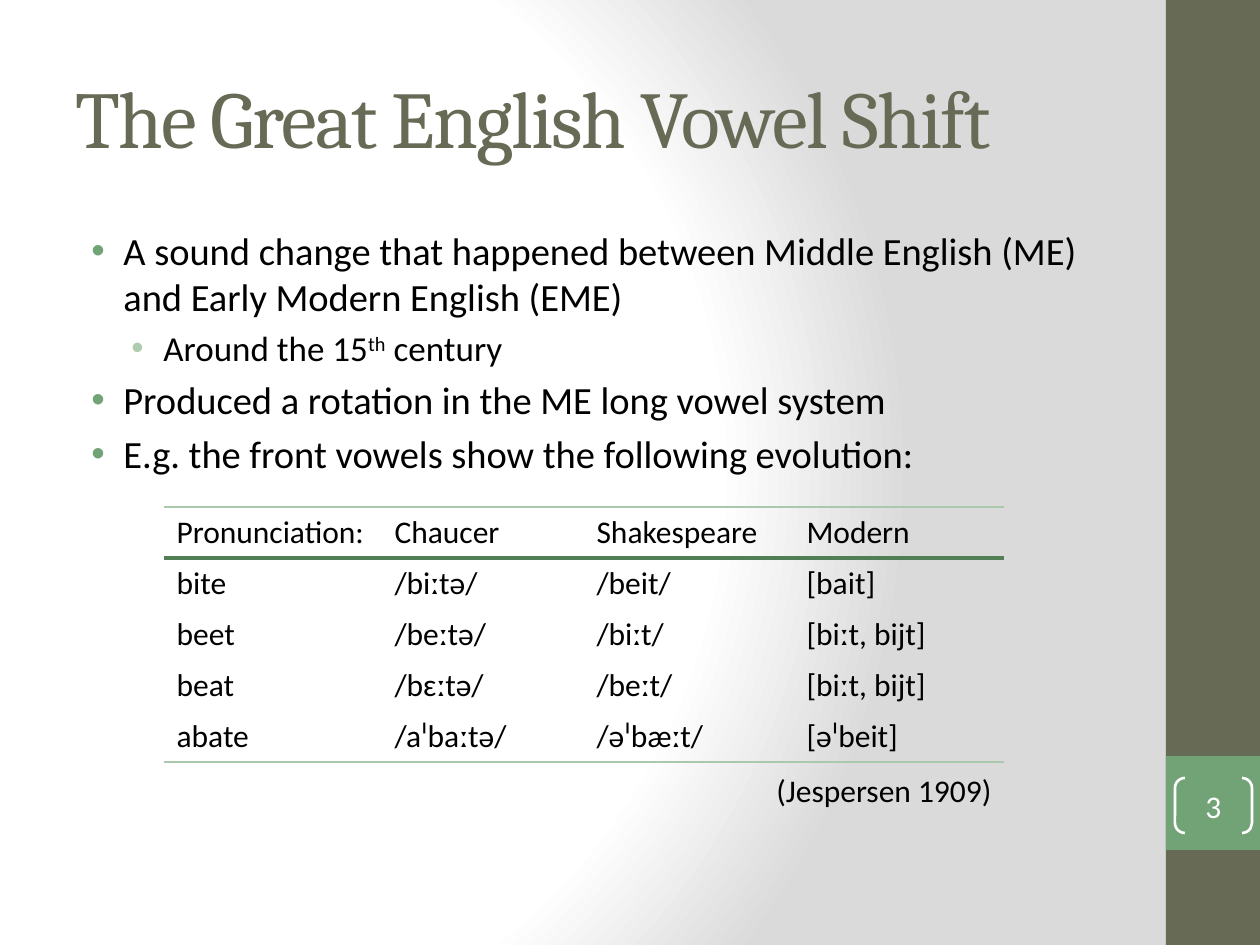
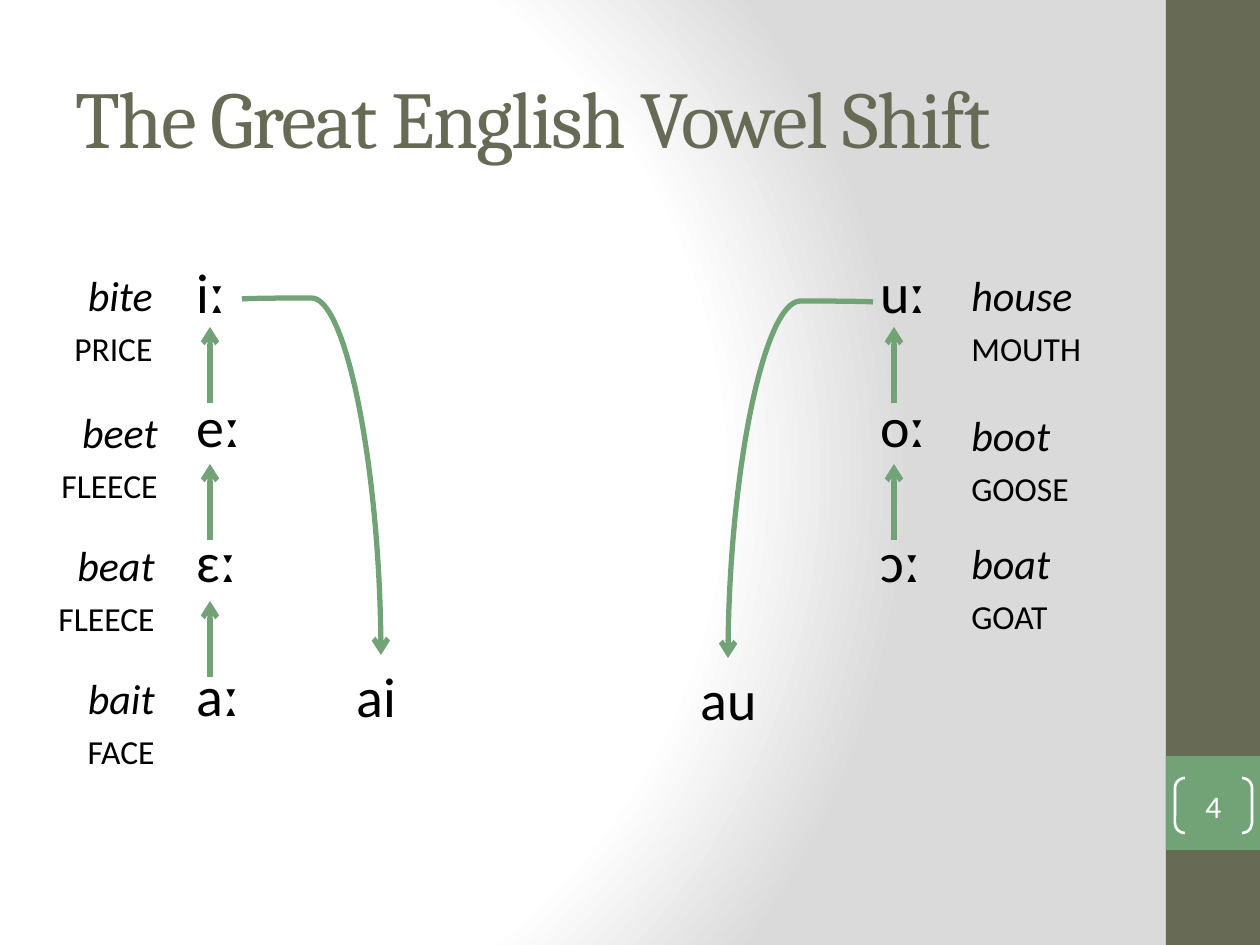
from lxml.etree import SubElement
from pptx import Presentation
from pptx.dml.color import RGBColor
from pptx.enum.shapes import MSO_CONNECTOR as Link, MSO_SHAPE as Shape
from pptx.enum.text import MSO_ANCHOR as Anchor, PP_ALIGN as Align
from pptx.oxml import parse_xml
from pptx.oxml.ns import nsdecls, qn
from pptx.util import Pt

EMU_PER_PX = 914400 / 126
OLIVE = RGBColor(0x67, 0x6A, 0x55)
GREEN = RGBColor(0x72, 0xA3, 0x76)
PALE_GREEN = RGBColor(0xB0, 0xCC, 0xB0)
RULE_GREEN = RGBColor(0xAA, 0xC8, 0xAD)
DARK_GREEN = RGBColor(0x52, 0x7E, 0x56)
BLACK = RGBColor(0, 0, 0)
WHITE = RGBColor(255, 255, 255)
GREY = RGBColor(0xDA, 0xDA, 0xDA)

TITLE = "The Great English Vowel Shift"
TITLE_BOX = (63, 38, 1050, 157)
BODY_BOX = (63, 221, 1050, 661)
BAND_BOX = (1166, 0, 94, 945)
TABLE_BOX = (164, 507, 840, 255)
NO_TABLE_STYLE = "{2D5ABB26-0587-4C30-8999-92F81FD0307C}"

# Level, then runs of text with their baseline shift
POINTS = [
    (0, [("A sound change that happened between Middle English (ME) "
          "and Early Modern English (EME)", 0)]),
    (1, [("Around the 15", 0), ("th", 30000), (" century", 0)]),
    (0, [("Produced a rotation in the ME long vowel system", 0)]),
    (0, [("E.g. the front vowels show the following evolution:", 0)]),
]
LEVELS = [(22, 48, GREEN), (20, 88, PALE_GREEN)]  # size, margin, bullet colour
BULLET_HANG = 32

PRONUNCIATIONS = [
    ("Pronunciation:", "Chaucer", "Shakespeare", "Modern"),
    ("bite", "/biːtə/", "/beit/", "[bait]"),
    ("beet", "/beːtə/", "/biːt/", "[biːt, bijt]"),
    ("beat", "/bɛːtə/", "/beːt/", "[biːt, bijt]"),
    ("abate", "/aᴵbaːtə/", "/əᴵbæːt/", "[əᴵbeit]"),
]
COLUMN_WIDTHS = (218, 202, 210, 210)

# Word, lexical set, box of the label
FRONT_WORDS = [
    ("bite", "price", (33, 263, 132, 105)),
    ("beet", "fleece", (38, 400, 132, 105)),
    ("beat", "fleece", (35, 533, 132, 105)),
    ("bait", "face", (35, 666, 132, 105)),
]
BACK_WORDS = [
    ("house", "mouth", (959, 263, 154, 105)),
    ("boot", "goose", (959, 403, 154, 105)),
    ("boat", "goat", (959, 531, 154, 105)),
]
ARROW_PITCH = 137


def px(*lengths):
    return [round(length * EMU_PER_PX) for length in lengths]


def write(paragraph, text, size=18, font="Calibri", color=BLACK, italic=False,
          align=Align.LEFT, before=0, **run_attributes):
    """Append one run; run_attributes go straight to a:rPr (spc, cap, baseline)."""
    paragraph.alignment = align
    paragraph.space_before = Pt(before)
    run = paragraph.add_run()
    run.text = text
    run.font.size = Pt(size)
    run.font.name = font
    run.font.italic = italic
    run.font.color.rgb = color
    for name, value in run_attributes.items():
        run.font._element.set(name, str(value))


def text_frame(slide, box, anchor=Anchor.TOP):
    frame = slide.shapes.add_textbox(*px(*box)).text_frame
    frame.word_wrap = True
    frame.vertical_anchor = anchor
    return frame


def next_paragraph(frame, index):
    return frame.add_paragraph() if index else frame.paragraphs[0]


def add_block(slide, kind, box, fill=None):
    block = slide.shapes.add_shape(kind, *px(*box))
    block.shadow.inherit = False
    if fill is None:
        block.fill.background()
    else:
        block.fill.solid()
        block.fill.fore_color.rgb = fill
        block.line.fill.background()
    return block


def paint_background(slide):
    stops = "".join(
        f'<a:gs pos="{position}"><a:srgbClr val="{color}"/></a:gs>'
        for position, color in ((0, WHITE), (75000, WHITE), (100000, GREY)))
    slide._element.cSld.insert(0, parse_xml(
        f'<p:bg {nsdecls("p", "a")}><p:bgPr><a:gradFill rotWithShape="1">'
        f'<a:gsLst>{stops}</a:gsLst><a:path path="circle">'
        '<a:fillToRect l="20000" t="50000" r="100000" b="50000"/></a:path>'
        '</a:gradFill><a:effectLst/></p:bgPr></p:bg>'))


def add_side_band(slide, box, number):
    left, top, width, height = box
    add_block(slide, Shape.RECTANGLE, box, OLIVE)
    add_block(slide, Shape.RECTANGLE, (left, top + 756, width, width), GREEN)
    bracket = add_block(slide, Shape.DOUBLE_BRACKET, (left + 9, top + 778, 77, 55))
    bracket.adjustments[0] = 0.18
    bracket.line.color.rgb = WHITE
    bracket.line.width = Pt(1.5)
    frame = bracket.text_frame
    frame.margin_left = frame.margin_right = frame.margin_top = frame.margin_bottom = 0
    frame.vertical_anchor = Anchor.MIDDLE
    write(frame.paragraphs[0], str(number), color=WHITE, align=Align.CENTER)


def add_titled_slide(deck, number):
    slide = deck.slides.add_slide(deck.slide_layouts[6])
    paint_background(slide)
    add_side_band(slide, BAND_BOX, number)
    title = text_frame(slide, TITLE_BOX, Anchor.MIDDLE)
    write(title.paragraphs[0], TITLE, size=46, font="Cambria", color=OLIVE, spc=-100)
    return slide


def set_bullet(paragraph, margin, color):
    properties = paragraph._p.get_or_add_pPr()
    left, hang = px(margin, BULLET_HANG)
    properties.set("marL", str(left))
    properties.set("indent", str(-hang))
    tint = SubElement(properties, qn("a:buClr"))
    SubElement(tint, qn("a:srgbClr"), val=str(color))
    SubElement(properties, qn("a:buFont"), typeface="Arial")
    SubElement(properties, qn("a:buChar"), char="•")


def add_points(slide, box):
    frame = text_frame(slide, box)
    for index, (level, runs) in enumerate(POINTS):
        size, margin, bullet_color = LEVELS[level]
        point = next_paragraph(frame, index)
        point.level = level
        for text, baseline in runs:
            write(point, text, size=size, before=size / 5, baseline=baseline)
        set_bullet(point, margin, bullet_color)


def rule_cell(cell, **rules):
    """Set borders by tag (lnT, lnB), each (colour, points) or None for no line."""
    properties = cell._tc.get_or_add_tcPr()
    for position, (tag, rule) in enumerate(rules.items()):
        if rule:
            color, points = rule
            width = Pt(points)
            paint = f'<a:solidFill><a:srgbClr val="{color}"/></a:solidFill>'
        else:
            width, paint = 0, "<a:noFill/>"
        properties.insert(position, parse_xml(
            f'<a:{tag} {nsdecls("a")} w="{width}">{paint}</a:{tag}>'))


def add_pronunciation_table(slide, box):
    rows = len(PRONUNCIATIONS)
    table = slide.shapes.add_table(rows, len(COLUMN_WIDTHS), *px(*box)).table
    table.first_row = table.horz_banding = False
    table._tbl.tblPr.find(qn("a:tableStyleId")).text = NO_TABLE_STYLE
    for column, width in zip(table.columns, px(*COLUMN_WIDTHS)):
        column.width = width
    outer, header = (RULE_GREEN, 1.5), (DARK_GREEN, 3)
    edges = [outer, header] + [None] * (rows - 2) + [outer]
    for r, words in enumerate(PRONUNCIATIONS):
        for c, word in enumerate(words):
            cell = table.cell(r, c)
            cell.fill.background()
            write(cell.text_frame.paragraphs[0], word)
            rule_cell(cell, lnT=edges[r], lnB=edges[r + 1])


def add_source_note(slide, box):
    """Cite the source under the table, flush with its right edge."""
    left, top, width, height = box
    note = text_frame(slide, (left + width - 331, top + height + 3, 331, 51))
    write(note.paragraphs[0], "(Jespersen 1909)", align=Align.RIGHT)


def add_arrow(slide, kind, start, end):
    arrow = slide.shapes.add_connector(kind, *px(*start, *end))
    arrow.line.color.rgb = GREEN
    arrow.line.width = Pt(3)
    SubElement(arrow.line._get_or_add_ln(), qn("a:tailEnd"), type="arrow")
    SubElement(arrow._element.spPr, qn("a:effectLst"))
    return arrow


def add_diphthong_arrow(slide, start, end):
    """Curve sideways from start, then down to end, as a turned connector."""
    (x1, y1), (x2, y2) = start, end
    middle_x, middle_y = (x1 + x2) / 2, (y1 + y2) / 2
    toward_right = x2 > x1
    half_drop = (y2 - y1) / 2 * (1 if toward_right else -1)
    half_span = abs(x2 - x1) / 2
    arrow = add_arrow(slide, Link.CURVE,
                      (middle_x + half_drop, middle_y - half_span),
                      (middle_x - half_drop, middle_y + half_span))
    properties = arrow._element.spPr
    properties.find(qn("a:xfrm")).set("rot", str((270 if toward_right else 90) * 60000))
    adjustments = properties.find(qn("a:prstGeom")).find(qn("a:avLst"))
    SubElement(adjustments, qn("a:gd"), name="adj1", fmla="val -300")


def add_vowel_chain(slide, box, vowels):
    """Stack vowels from high to low with an arrow raising each to the next."""
    left, top = box[:2]
    frame = text_frame(slide, box)
    for index, vowel in enumerate(vowels):
        write(next_paragraph(frame, index), vowel, size=32, before=38.4 if index else 0)
    for step in range(len(vowels) - 1):
        x, tip = left + 26, top + 76 + step * ARROW_PITCH
        add_arrow(slide, Link.STRAIGHT, (x, tip + 76), (x, tip))


def add_word_labels(slide, words, align):
    for word, lexical_set, box in words:
        frame = text_frame(slide, box)
        write(frame.paragraphs[0], word, size=24, italic=True, align=align)
        write(frame.add_paragraph(), lexical_set, size=24, align=align, cap="small")


def add_diphthong(slide, box, sound):
    write(text_frame(slide, box).paragraphs[0], sound, size=32)


def build_overview(deck):
    slide = add_titled_slide(deck, 3)
    add_points(slide, BODY_BOX)
    add_pronunciation_table(slide, TABLE_BOX)
    add_source_note(slide, TABLE_BOX)


def build_vowel_diagram(deck):
    slide = add_titled_slide(deck, 4)
    add_vowel_chain(slide, (184, 251, 82, 488), ("iː", "eː", "ɛː", "aː"))
    add_vowel_chain(slide, (868, 251, 97, 352), ("uː", "oː", "ɔː"))
    add_diphthong(slide, (344, 655, 74, 81), "ai")
    add_diphthong(slide, (688, 658, 82, 81), "au")
    add_diphthong_arrow(slide, (242, 299), (381, 655))
    add_diphthong_arrow(slide, (873, 302), (728, 658))
    add_word_labels(slide, FRONT_WORDS, Align.RIGHT)
    add_word_labels(slide, BACK_WORDS, Align.LEFT)


def main():
    deck = Presentation()
    deck.slide_width, deck.slide_height = px(1260, 945)
    build_overview(deck)
    build_vowel_diagram(deck)
    deck.save("out.pptx")


if __name__ == "__main__":
    main()
